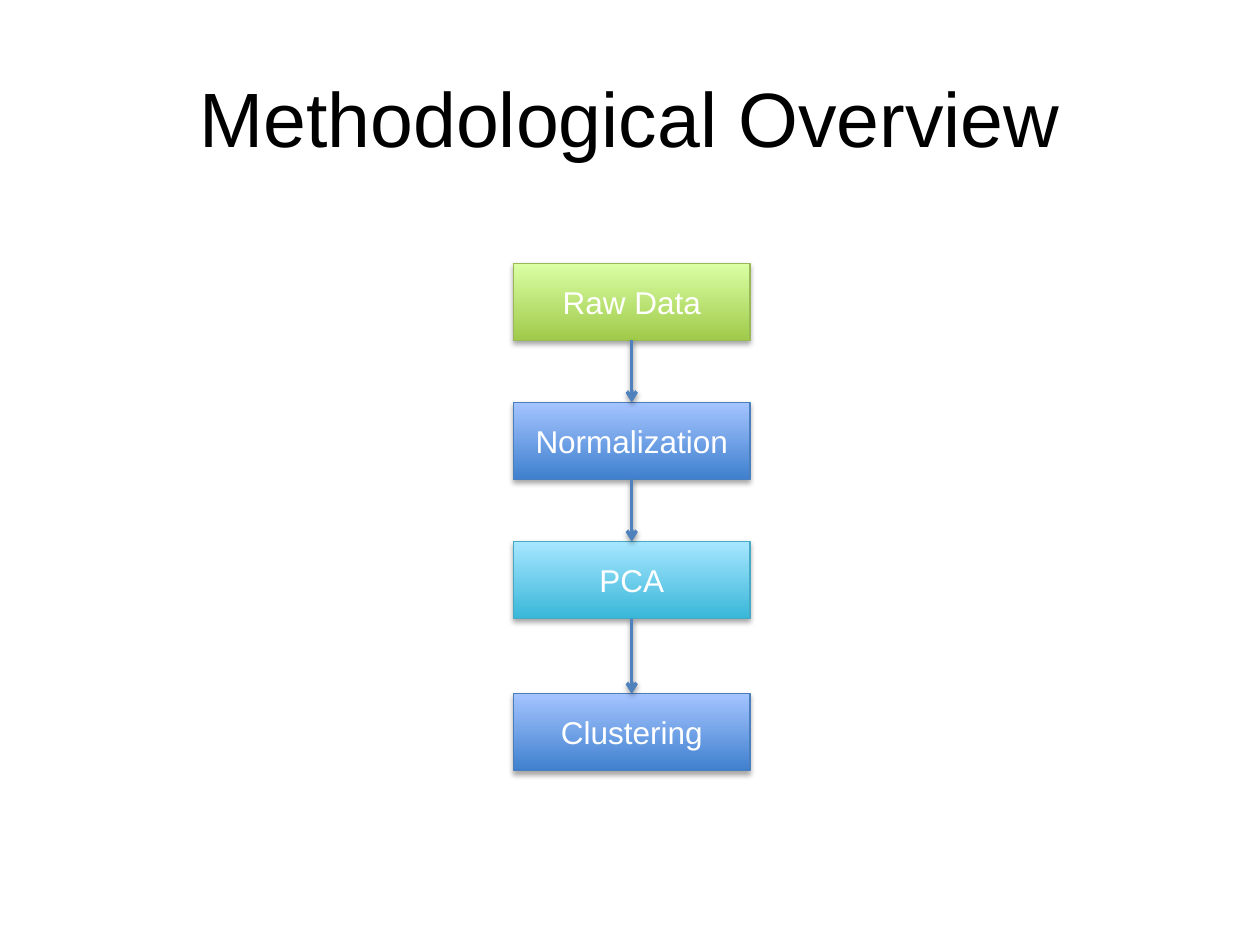
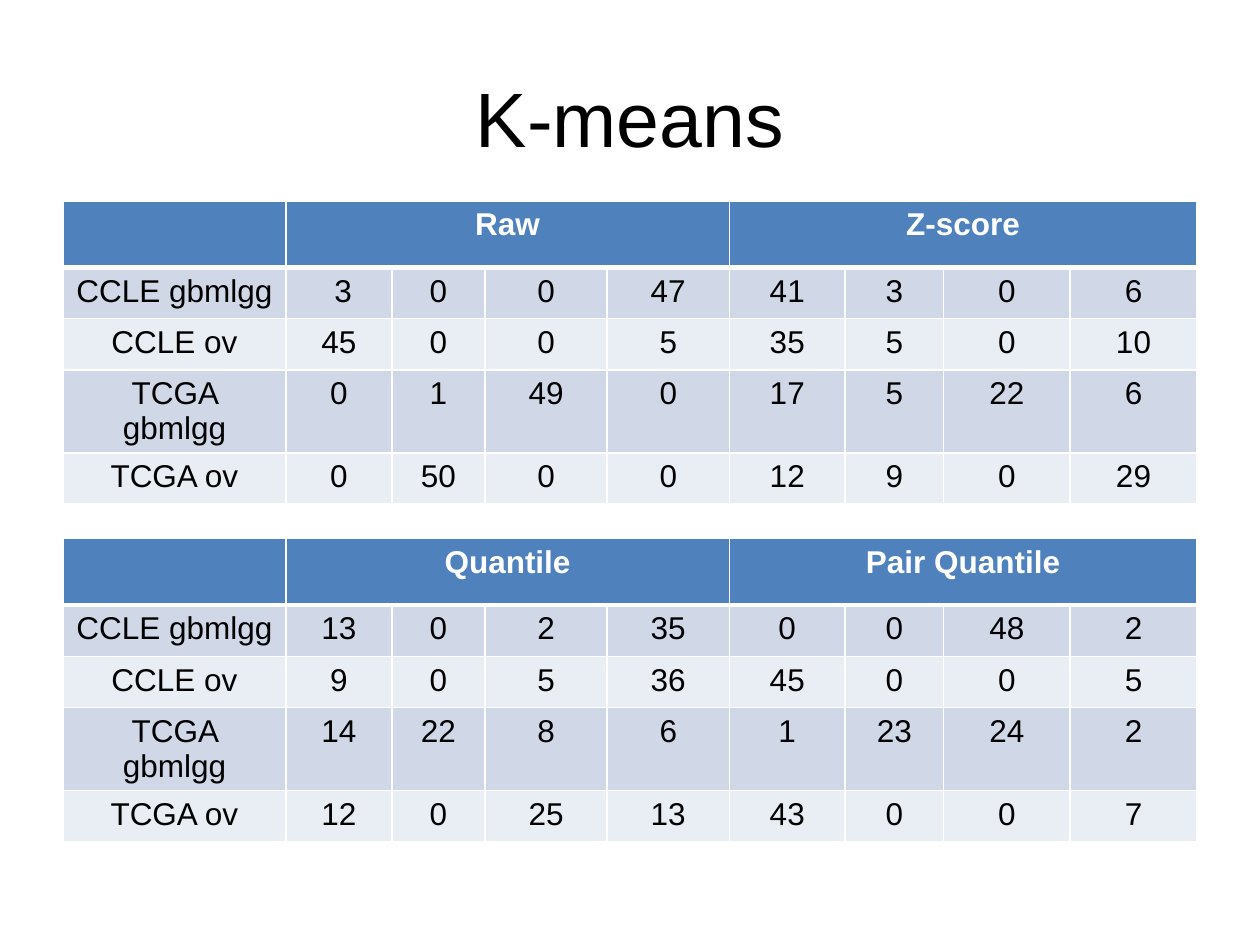
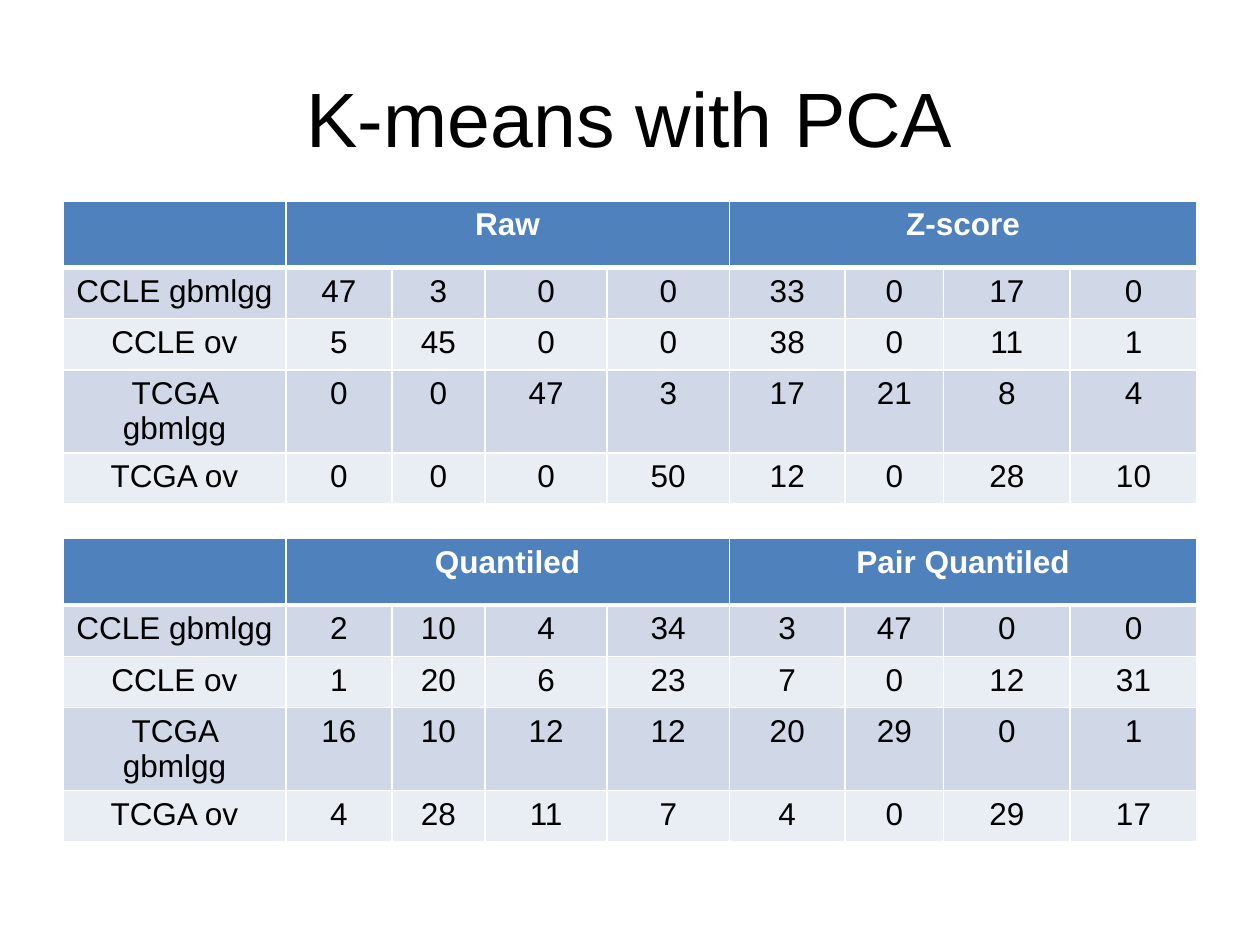
from lxml import etree
from pptx import Presentation
from pptx import util as u
from pptx.dml import color
from pptx.enum import shapes, text
from pptx.oxml import ns

COLORS = {
    "black": "000000",
    "white": "FFFFFF",
    "blue": "4F81BD",
    "odd_row": "D0D8E8",
    "even_row": "E9EDF4",
}
BOX_COLORS = {
    "green": ("A0CA4A", "DAFFA5", "98B955"),
    "blue": ("3F80CE", "A4C4FF", "4B7EBC"),
    "cyan": ("39B7D8", "A7E6FF", "46AAC5"),
}
FORMATS = {
    "title": ({"name": "Arial", "size": u.Pt(44), "bold": False}, "black"),
    "box": ({"name": "Arial", "size": u.Pt(18), "bold": False}, "white"),
    "header": ({"name": "Arial", "size": u.Pt(18), "bold": True}, "white"),
    "body": ({"name": "Arial", "size": u.Pt(18), "bold": False}, "black"),
}

STEPS = [
    ("Raw Data", "green", 150.5),
    ("Normalization", "blue", 230),
    ("PCA", "cyan", 309.5),
    ("Clustering", "blue", 396.5),
]

ROW_NAMES = ["CCLE gbmlgg", "CCLE ov", "TCGA gbmlgg", "TCGA ov"]
COLUMN_WIDTHS = [127.4, 60.5, 53.3, 69.8, 69.8, 66.2, 56.2, 72.4, 72.4]
ROW_HEIGHTS = [38, 29.3, 29.3, 13.5, 29.3]
TABLE_TOPS = [114.75, 307.75]
TABLE_SLIDES = [
    ("K-means", [
        (["Raw", "Z-score"], [
            [" 3", 0, 0, 47, 41, 3, 0, 6],
            [45, 0, 0, 5, 35, 5, 0, 10],
            [0, 1, 49, 0, 17, 5, 22, 6],
            [0, 50, 0, 0, 12, 9, 0, 29],
        ]),
        (["Quantile", "Pair Quantile"], [
            [13, 0, 2, 35, 0, 0, 48, 2],
            [9, 0, 5, 36, 45, 0, 0, 5],
            [14, 22, 8, 6, 1, 23, 24, 2],
            [12, 0, 25, 13, 43, 0, 0, 7],
        ]),
    ]),
    ("K-means with PCA", [
        (["Raw", "Z-score"], [
            [47, 3, 0, 0, 33, 0, 17, 0],
            [5, 45, 0, 0, 38, 0, 11, 1],
            [0, 0, 47, 3, 17, 21, 8, 4],
            [0, 0, 0, 50, 12, 0, 28, 10],
        ]),
        (["Quantiled", "Pair Quantiled"], [
            [2, 10, 4, 34, 3, 47, 0, 0],
            [1, 20, 6, 23, 7, 0, 12, 31],
            [16, 10, 12, 12, 20, 29, 0, 1],
            [4, 28, 11, 7, 4, 0, 29, 17],
        ]),
    ]),
]


def write(text_frame, wording, format_name):
    values, color_name = FORMATS[format_name]
    paragraph = text_frame.paragraphs[0]
    paragraph.alignment = text.PP_ALIGN.CENTER
    run = paragraph.add_run()
    run.text = str(wording)
    for attribute, value in values.items():
        setattr(run.font, attribute, value)
    run.font.color.rgb = color.RGBColor.from_string(COLORS[color_name])


def add_shadow(shape, distance, opacity):
    properties = shape._element.spPr
    effects = properties.find(ns.qn("a:effectLst"))
    if effects is None:
        effects = etree.SubElement(properties, ns.qn("a:effectLst"))
    shadow = etree.SubElement(
        effects, ns.qn("a:outerShdw"), blurRad=str(u.Pt(3.1)),
        dist=str(u.Pt(distance)), dir="5400000", rotWithShape="0")
    tint = etree.SubElement(shadow, ns.qn("a:srgbClr"), val=COLORS["black"])
    etree.SubElement(tint, ns.qn("a:alpha"), val=str(opacity * 1000))


presentation = Presentation()
presentation.slide_width = u.Pt(720)
presentation.slide_height = u.Pt(540)

slides = []
for heading in ["Methodological Overview"] + [name for name, tables in TABLE_SLIDES]:
    slide = presentation.slides.add_slide(presentation.slide_layouts[5])
    title = slide.shapes.title
    place = {"left": 36, "top": 21.6, "width": 648, "height": 90}
    for attribute, value in place.items():
        setattr(title, attribute, u.Pt(value))
    title.text_frame.vertical_anchor = text.MSO_ANCHOR.MIDDLE
    write(title.text_frame, heading, "title")
    slides.append(slide)

flow = slides[0].shapes
boxes = []
for label, color_name, top in STEPS:
    box = flow.add_shape(shapes.MSO_SHAPE.FLOWCHART_PROCESS,
                         u.Pt(293.5), u.Pt(top), u.Pt(135), u.Pt(44))
    *gradient, outline = BOX_COLORS[color_name]
    box.fill.gradient()
    box.fill.gradient_angle = 90
    for stop, shade in zip(box.fill.gradient_stops, gradient):
        stop.color.rgb = color.RGBColor.from_string(shade)
    box.line.color.rgb = color.RGBColor.from_string(outline)
    box.line.width = u.Pt(0.75)
    box.shadow.inherit = False
    add_shadow(box, 1.8, 35)
    box.text_frame.vertical_anchor = text.MSO_ANCHOR.MIDDLE
    write(box.text_frame, label, "box")
    boxes.append(box)

for upper, lower in zip(boxes, boxes[1:]):
    arrow = flow.add_connector(shapes.MSO_CONNECTOR.STRAIGHT, 0, 0, 0, 0)
    arrow.begin_connect(upper, 2)
    arrow.end_connect(lower, 0)
    arrow.line.color.rgb = color.RGBColor.from_string(COLORS["blue"])
    arrow.line.width = u.Pt(2)
    etree.SubElement(arrow.line._get_or_add_ln(), ns.qn("a:tailEnd"), type="arrow")
    add_shadow(arrow, 1.6, 38)

for slide, (heading, tables) in zip(slides[1:], TABLE_SLIDES):
    for top, (groups, counts) in zip(TABLE_TOPS, tables):
        frame = slide.shapes.add_table(
            len(ROW_HEIGHTS), len(COLUMN_WIDTHS),
            u.Pt(36), u.Pt(top), u.Pt(648), u.Pt(155))
        table = frame.table
        for column, width in zip(table.columns, COLUMN_WIDTHS):
            column.width = u.Pt(width)
        for row, height in zip(table.rows, ROW_HEIGHTS):
            row.height = u.Pt(height)
        frame.height = u.Pt(155)

        for row_number, row in enumerate(table.rows):
            fill_name = "blue" if row_number == 0 else ("even_row", "odd_row")[row_number % 2]
            for cell in row.cells:
                properties = cell._tc.get_or_add_tcPr()
                for side in "LRTB":
                    thick = (row_number, side) in [(0, "B"), (1, "T")]
                    border = etree.SubElement(properties, ns.qn("a:ln" + side),
                                              w=str(u.Pt(3 if thick else 1)))
                    solid = etree.SubElement(border, ns.qn("a:solidFill"))
                    etree.SubElement(solid, ns.qn("a:srgbClr"), val=COLORS["white"])
                cell.fill.solid()
                cell.fill.fore_color.rgb = color.RGBColor.from_string(COLORS[fill_name])

        for first, group in zip((1, 5), groups):
            table.cell(0, first).merge(table.cell(0, first + 3))
            write(table.cell(0, first).text_frame, group, "header")
        for row_number, (name, values) in enumerate(zip(ROW_NAMES, counts), 1):
            for column_number, value in enumerate([name] + values):
                write(table.cell(row_number, column_number).text_frame, value, "body")

presentation.save("out.pptx")
